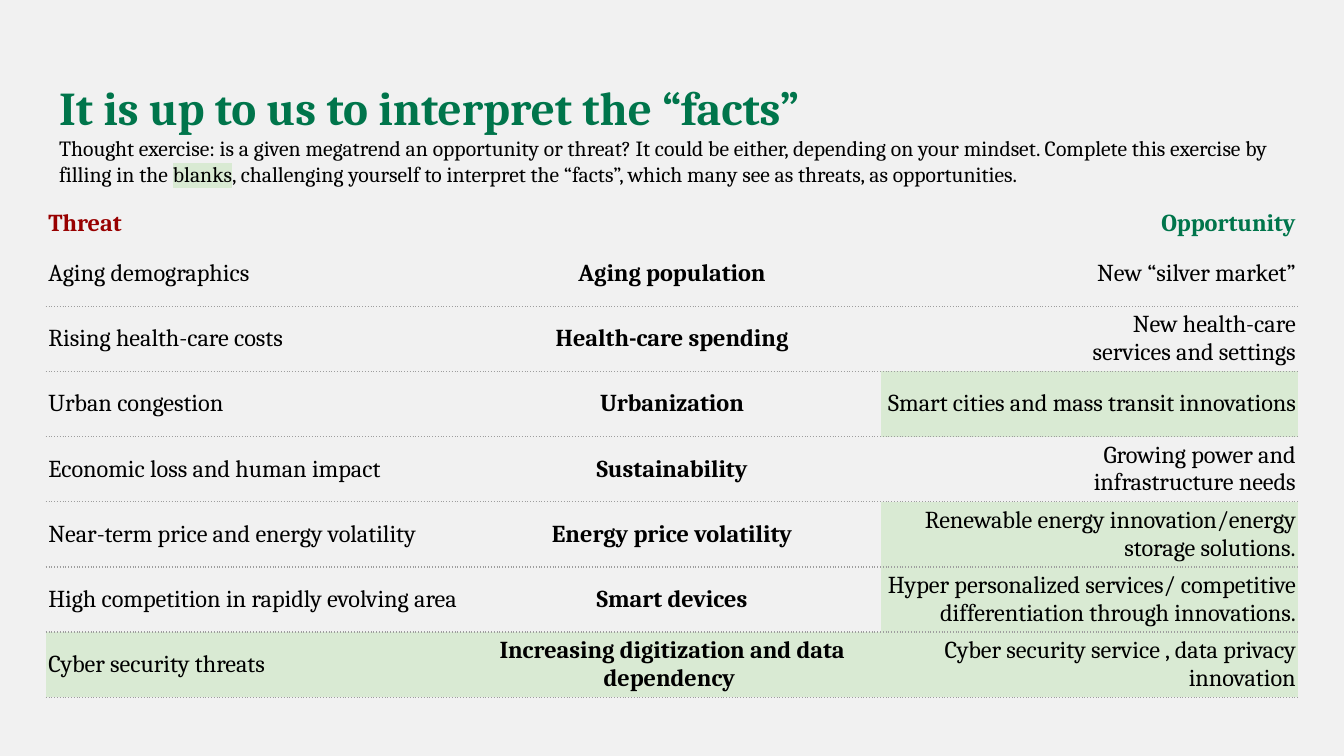
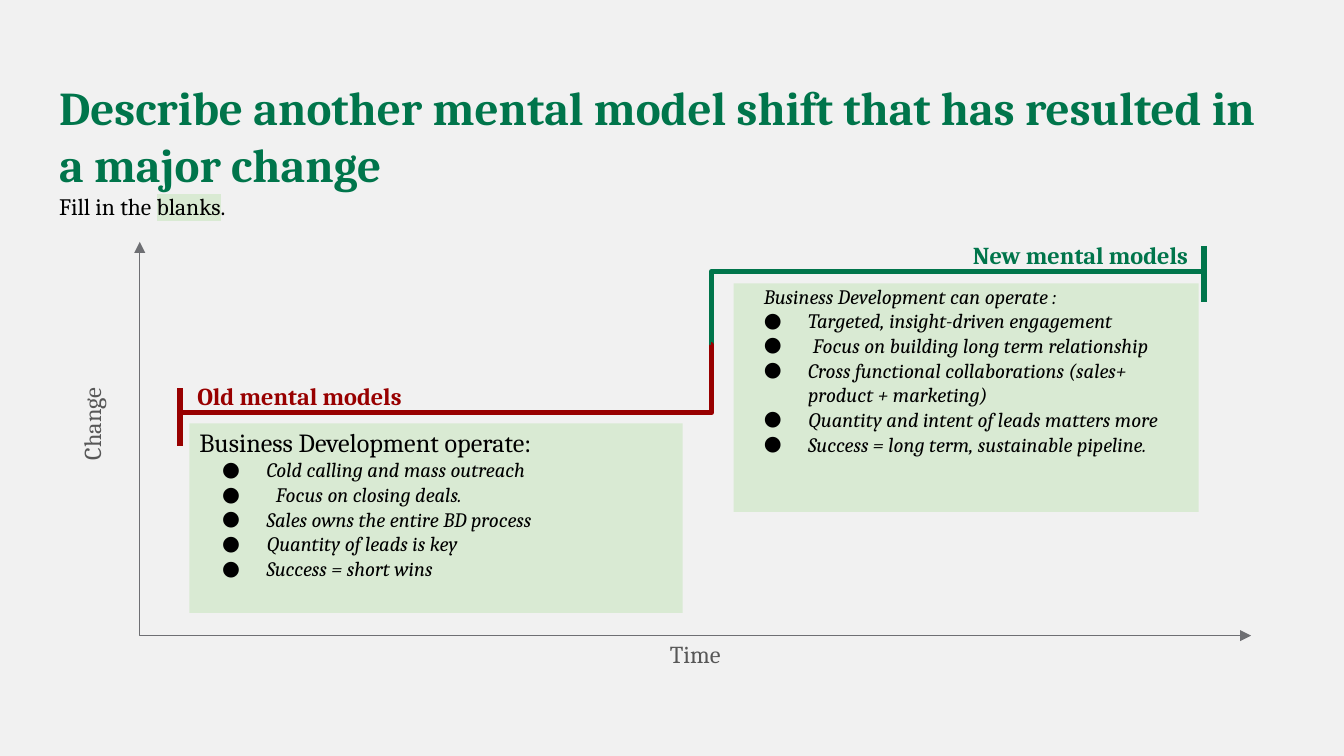
from lxml.etree import SubElement
from pptx import Presentation
from pptx.dml.color import RGBColor
from pptx.enum.shapes import MSO_CONNECTOR, MSO_SHAPE
from pptx.enum.text import MSO_ANCHOR, PP_ALIGN
from pptx.oxml.ns import qn
from pptx.util import Inches, Pt

FONT = "Cambria"
PAPER = "F1F1F1"
BLACK = "000000"
GREEN = "00754B"
RED = "980000"
BLANK_FILL = "D9EAD3"
AXIS_GRAY = "6E6F73"
LABEL_GRAY = "575757"
BORDER_GRAY = "9E9E9E"

# The slide is a grid of square cells, 100 columns wide, in 16:9 format.
COLUMNS, ROWS = 100, 56.25
CELL = Inches(10) / COLUMNS

LABEL_SIZE = 13
BULLET_SIZE = 11
LABEL_SPACING = 0.96
LABEL_INSETS = (1, 0.5)
BODY_INSETS = (1, 1)
NO_INSETS = (0, 0)
PLAIN_TABLE_STYLE = "{2D5ABB26-0587-4C30-8999-92F81FD0307C}"

TREND_ALIGNMENTS = (PP_ALIGN.LEFT, PP_ALIGN.CENTER, PP_ALIGN.RIGHT)
HEADINGS = ("Threat", "", "Opportunity")
# Threat, trend, opportunity, and the first column that was a blank to fill in.
TRENDS = [
    ("Aging demographics", "Aging population", "New “silver market”", 3),
    ("Rising health-care costs", "Health-care spending",
     "New health-care\nservices and settings", 3),
    ("Urban congestion", "Urbanization",
     "Smart cities and mass transit innovations", 2),
    ("Economic loss and human impact", "Sustainability",
     "Growing power and\ninfrastructure needs", 3),
    ("Near-term price and energy volatility", "Energy price volatility",
     "Renewable energy innovation/energy storage solutions.", 2),
    ("High competition in rapidly evolving area", "Smart devices",
     "Hyper personalized services/ competitive differentiation through innovations.", 2),
    ("Cyber security threats", "Increasing digitization and data dependency ",
     "Cyber security service , data privacy innovation", 0),
]

# Bullet text and its extra indent in grid columns.
OLD_MODEL = [
    ("Cold calling and mass outreach", 0),
    ("Focus on closing deals.", 0.7),
    ("Sales owns the entire BD process", 0),
    ("Quantity of leads is key", 0),
    ("Success = short wins", 0),
]
NEW_MODEL = [
    ("Targeted, insight-driven engagement", 0),
    ("Focus on building long term relationship", 0.35),
    ("Cross functional collaborations (sales+ product + marketing)", 0),
    ("Quantity and intent of leads matters more", 0),
    ("Success = long term, sustainable pipeline.", 0),
]


def color(hex_string):
    return RGBColor.from_string(hex_string)


def grid(*cells):
    """Turn counts of grid cells into lengths."""
    return [round(count * CELL) for count in cells]


def add_run(paragraph, text, size, hex_color=BLACK, bold=False, italic=False,
            highlight=None):
    run = paragraph.add_run()
    run.text = text
    font = run.font
    font.name, font.size, font.bold, font.italic = FONT, Pt(size), bold, italic
    font.color.rgb = color(hex_color)
    if highlight:
        properties = run._r.get_or_add_rPr()
        mark = SubElement(properties, qn("a:highlight"))
        SubElement(mark, qn("a:srgbClr"), val=highlight)
        properties.find(qn("a:solidFill")).addnext(mark)


def add_text_box(slide, box, insets, anchor=MSO_ANCHOR.TOP):
    """Add an empty text box; insets are horizontal and vertical."""
    shape = slide.shapes.add_textbox(*grid(*box))
    frame = shape.text_frame
    frame.word_wrap = True
    frame.vertical_anchor = anchor
    horizontal, vertical = grid(*insets)
    frame.margin_left = frame.margin_right = horizontal
    frame.margin_top = frame.margin_bottom = vertical
    return shape


def add_slide(presentation, title, instruction, size):
    """Add a slide with a title; instruction holds the text around "blanks"."""
    slide = presentation.slides.add_slide(presentation.slide_layouts[6])
    slide.background.fill.solid()
    slide.background.fill.fore_color.rgb = color(PAPER)
    frame = add_text_box(slide, (3.41, 4.87, 93.2, 6.3), BODY_INSETS).text_frame
    add_run(frame.paragraphs[0], title, 25.2, GREEN, bold=True)
    paragraph = frame.add_paragraph()
    before, after = instruction
    add_run(paragraph, before, size)
    add_run(paragraph, "blanks", size, highlight=BLANK_FILL)
    add_run(paragraph, after, size)
    return slide


def add_label(slide, text, box, hex_color, alignment=PP_ALIGN.LEFT, bold=True,
              insets=LABEL_INSETS, anchor=MSO_ANCHOR.TOP):
    shape = add_text_box(slide, box, insets, anchor)
    paragraph = shape.text_frame.paragraphs[0]
    paragraph.alignment = alignment
    paragraph.line_spacing = LABEL_SPACING
    add_run(paragraph, text, LABEL_SIZE, hex_color, bold)
    return shape


def set_indent(paragraph, left, first_line=0):
    properties = paragraph._p.get_or_add_pPr()
    for name, length in zip(("marL", "indent"), grid(left, first_line)):
        properties.set(name, str(length))
    return properties


def add_bullet(frame, text, extra_indent):
    paragraph = frame.add_paragraph()
    properties = set_indent(paragraph, 5 + extra_indent, -3.3 - extra_indent)
    bullet_color = SubElement(properties, qn("a:buClr"))
    SubElement(bullet_color, qn("a:srgbClr"), val=BLACK)
    SubElement(properties, qn("a:buSzPts"), val=str(BULLET_SIZE * 100))
    SubElement(properties, qn("a:buFont"), typeface=FONT)
    SubElement(properties, qn("a:buChar"), char="●")
    add_run(paragraph, text, BULLET_SIZE, italic=True)


def add_panel(slide, box):
    shape = slide.shapes.add_shape(MSO_SHAPE.RECTANGLE, *grid(*box))
    shape.shadow.inherit = False
    shape.fill.solid()
    shape.fill.fore_color.rgb = color(BLANK_FILL)
    shape.line.fill.background()


def add_model(slide, box, heading, heading_size, heading_indent, italic, bullets):
    """Add a heading with bullets below it."""
    frame = add_text_box(slide, box, BODY_INSETS).text_frame
    set_indent(frame.paragraphs[0], heading_indent)
    add_run(frame.paragraphs[0], heading, heading_size, italic=italic)
    for text, extra_indent in bullets:
        add_bullet(frame, text, extra_indent)


def add_line(slide, start, end, hex_color, kind=MSO_CONNECTOR.STRAIGHT, bend=None):
    """Add a thick line; bend places an elbow's riser in 1/100000 of its width."""
    connector = slide.shapes.add_connector(kind, *grid(*start, *end))
    connector.line.color.rgb = color(hex_color)
    connector.line.width = Pt(3)
    properties = connector._element.spPr
    SubElement(properties, qn("a:effectLst"))
    if bend is not None:
        geometry = properties.find(qn("a:prstGeom"))
        adjustments = geometry.find(qn("a:avLst"))
        if adjustments is None:
            adjustments = SubElement(geometry, qn("a:avLst"))
        SubElement(adjustments, qn("a:gd"), name="adj1", fmla=f"val {bend}")


def add_axes(slide, top, corner, right):
    left, bottom = corner
    builder = slide.shapes.build_freeform(*grid(left, top))
    builder.add_line_segments([grid(left, bottom), grid(right, bottom)], close=False)
    axes = builder.convert_to_shape()
    axes.shadow.inherit = False
    axes.fill.background()
    axes.line.color.rgb = color(AXIS_GRAY)
    axes.line.width = Pt(0.75)
    line = axes.line._get_or_add_ln()
    for end in ("a:headEnd", "a:tailEnd"):
        SubElement(line, qn(end), type="triangle")


def set_borders(cell, dotted_sides):
    properties = cell._tc.get_or_add_tcPr()
    for side in "LRTB":
        line = SubElement(properties, qn(f"a:ln{side}"), w=str(Pt(0.75)))
        if side in dotted_sides:
            fill = SubElement(line, qn("a:solidFill"))
            SubElement(fill, qn("a:srgbClr"), val=BORDER_GRAY)
            SubElement(line, qn("a:prstDash"), val="dot")
        else:
            SubElement(line, qn("a:noFill"))


def fill_cell(cell, text, alignment, hex_color, bold, dotted_sides, is_blank):
    cell.vertical_anchor = MSO_ANCHOR.MIDDLE
    cell.margin_left = cell.margin_right = cell.margin_top = cell.margin_bottom = Inches(0.02)
    set_borders(cell, dotted_sides)
    if is_blank:
        cell.fill.solid()
        cell.fill.fore_color.rgb = color(BLANK_FILL)
    else:
        cell.fill.background()
    frame = cell.text_frame
    for index, line in enumerate(text.split("\n")):
        paragraph = frame.add_paragraph() if index else frame.paragraphs[0]
        paragraph.alignment = alignment
        if line:
            add_run(paragraph, line, LABEL_SIZE, hex_color, bold)
        else:
            SubElement(paragraph._p, qn("a:endParaRPr"), sz=str(LABEL_SIZE * 100))


def add_trend_table(slide):
    heading_height, row_height = 2.65, 4.85
    height = heading_height + row_height * len(TRENDS)
    shape = slide.shapes.add_table(len(TRENDS) + 1, len(HEADINGS),
                                   *grid(3.4, 15.3, 93.2, height))
    table = shape.table
    table.first_row = table.horz_banding = False
    table._tbl.tblPr.find(qn("a:tableStyleId")).text = PLAIN_TABLE_STYLE
    for index, row in enumerate(table.rows):
        row.height = grid(row_height if index else heading_height)[0]
    heading_colors = (RED, BLACK, GREEN)
    for column, alignment in enumerate(TREND_ALIGNMENTS):
        fill_cell(table.cell(0, column), HEADINGS[column], alignment,
                  heading_colors[column], True, "", False)
        for row, (*texts, first_blank) in enumerate(TRENDS, start=1):
            fill_cell(table.cell(row, column), texts[column], alignment, BLACK,
                      column == 1, "TB" if row > 1 else "B", column >= first_blank)


def build_facts_slide(presentation):
    instruction = (
        "Thought exercise: is a given megatrend an opportunity or threat? It could be "
        "either, depending on your mindset. Complete this exercise by filling in the ",
        ", challenging yourself to interpret the “facts”, which many see as threats, "
        "as opportunities.",
    )
    slide = add_slide(presentation, "It is up to us to interpret the “facts”",
                      instruction, 11.6)
    add_trend_table(slide)


def build_shift_slide(presentation):
    slide = add_slide(
        presentation,
        "Describe another mental model shift that has resulted in a major change",
        ("Fill in the ", "."), 12.6)
    add_panel(slide, (14.1, 31.5, 36.7, 14.1))
    add_panel(slide, (54.6, 21.1, 34.6, 17))
    add_axes(slide, 18, (10.4, 47.3), 93.1)
    add_line(slide, (89.6, 18.3), (89.6, 22.5), GREEN)
    add_line(slide, (13.4, 28.9), (13.4, 33.2), RED)
    add_label(slide, "New mental models", (53.6, 17.5, 35.75, 2.4), GREEN, PP_ALIGN.RIGHT)
    axis_style = (LABEL_GRAY, PP_ALIGN.RIGHT, False, NO_INSETS, MSO_ANCHOR.MIDDLE)
    add_label(slide, "Change", (2.7, 32, 8.4, 2.1), *axis_style).rotation = 270
    add_label(slide, "Time", (46.4, 47.7, 7.2, 2.1), *axis_style)
    add_label(slide, "Old mental models", (13.7, 28, 38.3, 3.7), RED)
    add_line(slide, (52.9, 26.3), (89.6, 20.2), GREEN, MSO_CONNECTOR.ELBOW, 100)
    add_line(slide, (13.6, 30.7), (52.9, 25.7), RED, MSO_CONNECTOR.ELBOW, 100100)
    add_model(slide, (13.85, 30.7, 35, 19.2), "Business Development operate:",
              14, 0, False, OLD_MODEL)
    add_model(slide, (54.15, 20.1, 35, 20.5), "Business Development can operate :",
              BULLET_SIZE, 1.7, True, NEW_MODEL)


def main():
    presentation = Presentation()
    presentation.slide_width, presentation.slide_height = grid(COLUMNS, ROWS)
    build_facts_slide(presentation)
    build_shift_slide(presentation)
    presentation.save("out.pptx")


if __name__ == "__main__":
    main()
